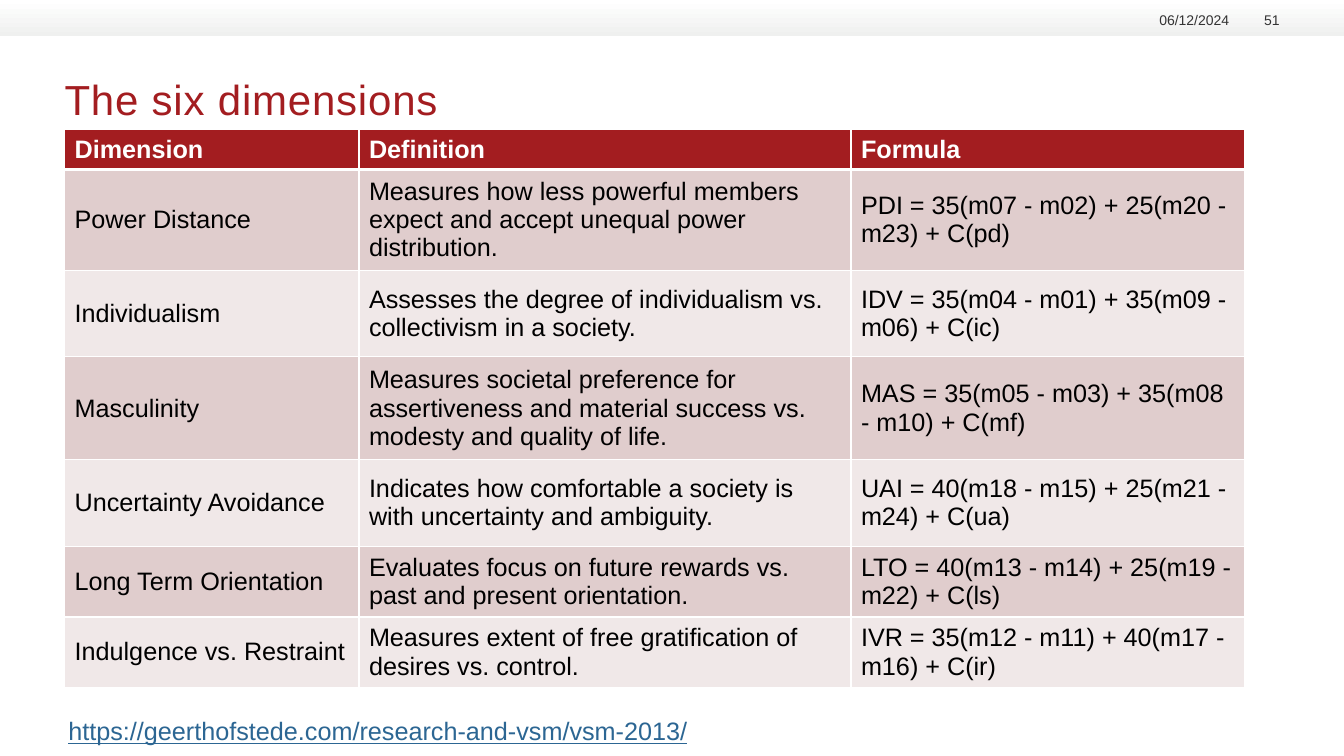
from lxml.etree import SubElement
from pptx import Presentation
from pptx.dml.color import RGBColor
from pptx.enum.shapes import MSO_SHAPE
from pptx.enum.text import MSO_ANCHOR, PP_ALIGN
from pptx.oxml.ns import qn
from pptx.util import Inches, Pt

# Content
TITLE = "The six dimensions"
LINK = "https://geerthofstede.com/research-and-vsm/vsm-2013/"
HEADER_NOTES = [("06/12/2024", 11.3, 0.89), ("51", 12.27, 0.42)]  # text, left, width
ROWS = [
    ("Dimension", "Definition", "Formula"),
    ("Power Distance",
     "Measures how less powerful members expect and accept unequal power distribution.",
     "PDI = 35(m07 - m02) + 25(m20 - m23) + C(pd)"),
    ("Individualism",
     "Assesses the degree of individualism vs. collectivism in a society.",
     "IDV = 35(m04 - m01) + 35(m09 - m06) + C(ic)"),
    ("Masculinity",
     "Measures societal preference for assertiveness and material success vs. "
     "modesty and quality of life.",
     "MAS = 35(m05 - m03) + 35(m08 - m10) + C(mf)"),
    ("Uncertainty Avoidance",
     "Indicates how comfortable a society is with uncertainty and ambiguity.",
     "UAI = 40(m18 - m15) + 25(m21 - m24) + C(ua)"),
    ("Long Term Orientation",
     "Evaluates focus on future rewards vs. past and present orientation.",
     "LTO = 40(m13 - m14) + 25(m19 - m22) + C(ls)"),
    ("Indulgence vs. Restraint",
     "Measures extent of free gratification of desires vs. control.",
     "IVR = 35(m12 - m11) + 40(m17 - m16) + C(ir)"),
]
COL_WIDTHS = [2.92, 4.88, 3.9]
ROW_HEIGHTS = [0.33, 0.86, 0.86, 1.02, 0.86, 0.7, 0.57]

FONT = "Arial"
LEFT = 0.64
RED = RGBColor(0xA3, 0x1D, 0x20)
ROSE = RGBColor(0xE0, 0xCD, 0xCD)
PALE = RGBColor(0xF0, 0xE8, 0xE8)
WHITE = RGBColor(0xFF, 0xFF, 0xFF)
BLACK = RGBColor(0, 0, 0)
GREY = RGBColor(0x33, 0x33, 0x33)
BAND_GREY = RGBColor(0xEF, 0xF0, 0xEF)
LINK_BLUE = RGBColor(0x2C, 0x66, 0x93)


def add_run(p, text, size, color, bold=False):
    r = p.add_run()
    r.text = text
    r.font.name, r.font.size, r.font.bold = FONT, Pt(size), bold
    r.font.color.rgb = color
    return r


def clear_margins(tf):
    tf.margin_left = tf.margin_top = tf.margin_right = tf.margin_bottom = 0


def set_border(cell, side, width):
    ln = SubElement(cell._tc.get_or_add_tcPr(), qn(f"a:ln{side}"), w=str(Pt(width)))
    fill = SubElement(ln, qn("a:solidFill"))
    SubElement(fill, qn("a:srgbClr"), val=str(WHITE))


prs = Presentation()
prs.slide_width, prs.slide_height = Inches(13.33), Inches(7.5)
s = prs.slides.add_slide(prs.slide_layouts[5])

# Top band
band = s.shapes.add_shape(MSO_SHAPE.RECTANGLE, 0, 0, prs.slide_width, Inches(0.36))
band.shadow.inherit = False
band.line.fill.background()
band.fill.gradient()
band.fill.gradient_angle = 270
for stop, color, position in zip(band.fill.gradient_stops, (WHITE, BAND_GREY), (0, 1)):
    stop.color.rgb = color
    stop.position = position

# Date and slide number
for text, left, width in HEADER_NOTES:
    tf = s.shapes.add_textbox(Inches(left), Inches(0.09), Inches(width), Inches(0.19)).text_frame
    clear_margins(tf)
    tf.word_wrap = True
    tf.vertical_anchor = MSO_ANCHOR.BOTTOM
    tf.paragraphs[0].alignment = PP_ALIGN.RIGHT
    add_run(tf.paragraphs[0], text, 10, GREY)

# Title
title = s.shapes.title
title.left, title.top = Inches(LEFT), Inches(0.68)
title.width, title.height = Inches(12.04), Inches(0.94)
tf = title.text_frame
clear_margins(tf)
tf.vertical_anchor = MSO_ANCHOR.TOP
p = tf.paragraphs[0]
p.alignment = PP_ALIGN.LEFT
p.line_spacing = 1.1
r = add_run(p, TITLE, 30, RED)
r.font._element.set("spc", "60")

# Table of dimensions
table = s.shapes.add_table(len(ROWS), len(COL_WIDTHS), Inches(LEFT), Inches(1.28),
                           Inches(sum(COL_WIDTHS)), Inches(sum(ROW_HEIGHTS))).table
for column, width in zip(table.columns, COL_WIDTHS):
    column.width = Inches(width)
for i, (texts, height) in enumerate(zip(ROWS, ROW_HEIGHTS)):
    table.rows[i].height = Inches(height)
    is_header = i == 0
    for j, text in enumerate(texts):
        cell = table.cell(i, j)
        cell.vertical_anchor = MSO_ANCHOR.BOTTOM if is_header else MSO_ANCHOR.MIDDLE
        widths = {"L": 1, "R": 1, "T": 3 if i == 1 else 1, "B": 3 if is_header else 1}
        for side, width in widths.items():
            set_border(cell, side, width)
        cell.fill.solid()
        cell.fill.fore_color.rgb = RED if is_header else ROSE if i % 2 else PALE
        add_run(cell.text_frame.paragraphs[0], text, 18,
                WHITE if is_header else BLACK, is_header)

# Source address
tf = s.shapes.add_textbox(Inches(0.58), Inches(7.05), Inches(6.67), Inches(0.4)).text_frame
tf.word_wrap = True
r = add_run(tf.paragraphs[0], LINK, 18, LINK_BLUE)
r.font.underline = True

prs.save("out.pptx")
